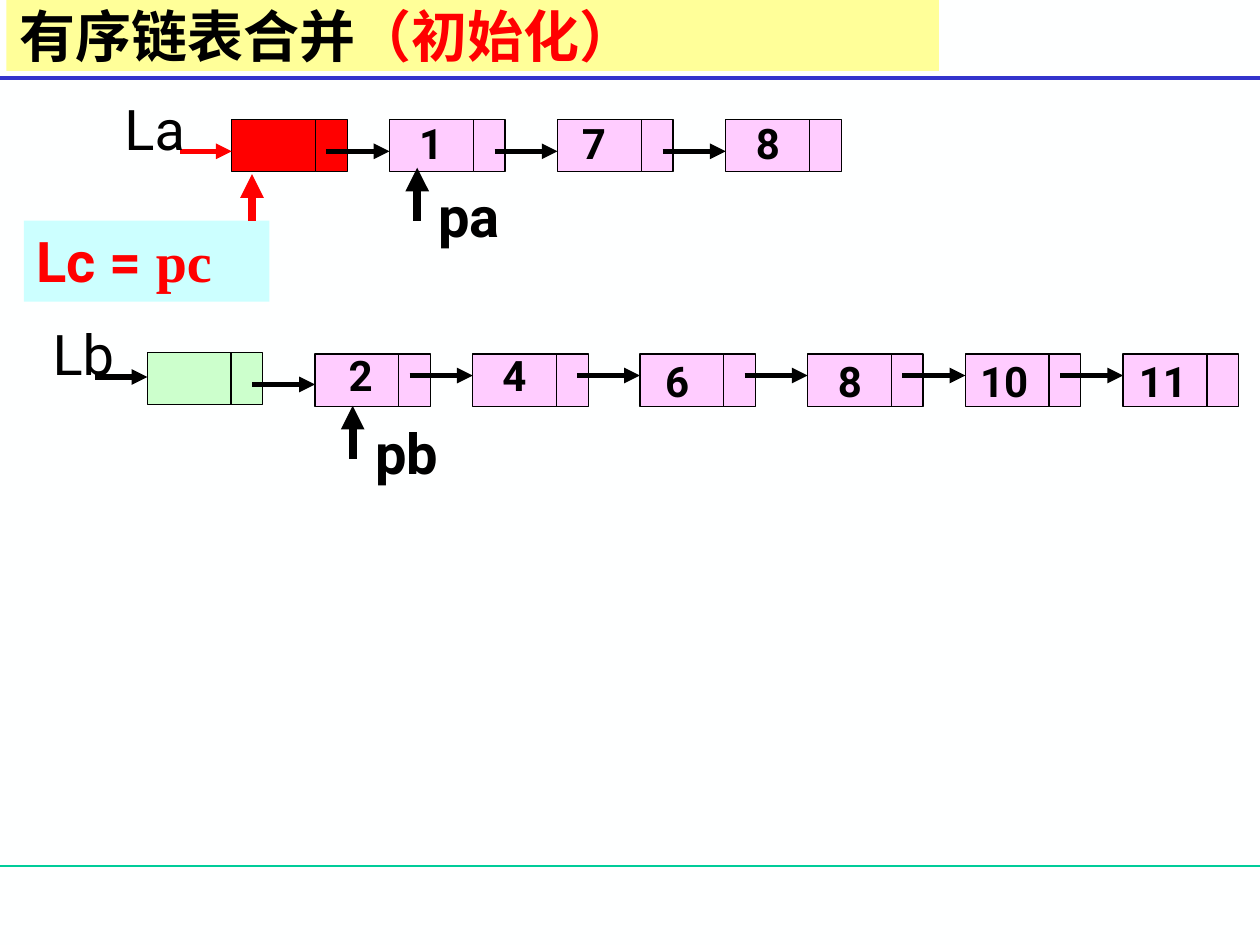
import dataclasses
import typing

import lxml.etree
import pptx
import pptx.dml.color
import pptx.enum.shapes
import pptx.enum.text
import pptx.oxml.ns
import pptx.util

Cm = pptx.util.Cm
Pt = pptx.util.Pt
qn = pptx.oxml.ns.qn

COLORS = {
    "background": "FEFFFF",
    "title": "FFFF99",
    "rule": "3333CC",
    "footer": "00CC99",
    "black": "000000",
    "red": "FF0000",
    "pink": "FFCCFF",
    "green": "CCFFCC",
    "cyan": "CCFFFF",
}
LATIN = "Roboto"
SERIF = "Times New Roman"
CHINESE = "Noto Sans CJK SC"
DATA_WIDTH, NEXT_WIDTH, NODE_HEIGHT = 1.69, 0.64, 1.05


@dataclasses.dataclass
class Label:
    text: str
    left: float
    top: float
    width: float
    height: float = 1.63
    size: int = 32
    bold: bool = True


@dataclasses.dataclass
class Node:
    """A list node with the arrow that enters it and its value, in cm."""
    left: float
    top: float
    link_top: float
    value: typing.Optional[Label] = None
    fill: str = "pink"
    link_length: float = 1.27
    link_color: str = "black"


@dataclasses.dataclass
class Line:
    start: tuple[float, float]
    end: tuple[float, float]
    color: str
    width: float
    arrow: bool = True


def digit(text: str, left: float, top: float) -> Label:
    return Label(text, left, top, 1 if len(text) == 1 else 1.6, 1.27, 24)


LIST_A = [
    Node(4.67, 2.41, 3.05, None, "red", 1.04, "red"),
    Node(7.85, 2.41, 3.05, digit("1", 8.2, 2.24)),
    Node(11.24, 2.41, 3.05, digit("7", 11.48, 2.24)),
    Node(14.63, 2.41, 3.05, digit("8", 14.99, 2.24)),
]
LIST_B = [
    Node(2.97, 7.11, 7.6, None, "green", 1.06),
    Node(6.35, 7.14, 7.75, digit("2", 6.78, 6.93)),
    Node(9.53, 7.14, 7.57, digit("4", 9.88, 6.93)),
    Node(12.9, 7.14, 7.57, digit("6", 13.16, 7.04)),
    Node(16.28, 7.14, 7.57, digit("8", 16.64, 7.04)),
    Node(19.46, 7.14, 7.57, digit("10", 19.51, 7.04)),
    Node(22.64, 7.14, 7.57, digit("11", 22.71, 7.04)),
]
LABELS = [
    Label("La", 2.26, 1.78, 1.73, bold=False),
    Label("pa", 8.59, 3.53, 1.91),
    Label("Lb", 0.81, 6.32, 1.78, bold=False),
    Label("pb", 7.32, 8.31, 1.93),
]
RULES = [
    Line((0, 17.46), (25.4, 17.46), "footer", 0.75, False),
    Line((0, 1.57), (25.4, 1.57), "rule", 2.25, False),
]
POINTERS = [
    Line((8.41, 4.45), (8.41, 3.38), "black", 4.5),
    Line((7.11, 9.25), (7.11, 8.18), "black", 4.5),
    Line((5.08, 4.45), (5.08, 3.51), "red", 4.5),
]


def rgb(name: str) -> pptx.dml.color.RGBColor:
    return pptx.dml.color.RGBColor.from_string(COLORS[name])


def paint(shape, name: str) -> None:
    shape.fill.solid()
    shape.fill.fore_color.rgb = rgb(name)


def draw_line(page, line: Line) -> None:
    points = [Cm(value) for value in (*line.start, *line.end)]
    connector = page.shapes.add_connector(
        pptx.enum.shapes.MSO_CONNECTOR.STRAIGHT, *points)
    connector.line.color.rgb = rgb(line.color)
    connector.line.width = Pt(line.width)
    properties = connector._element.spPr
    if line.arrow:
        lxml.etree.SubElement(
            properties.find(qn("a:ln")), qn("a:tailEnd"), type="triangle")
    lxml.etree.SubElement(properties, qn("a:effectLst"))


def add_rectangle(shapes, left: float, top: float, width: float,
                  height: float, fill: str):
    box = shapes.add_shape(
        pptx.enum.shapes.MSO_SHAPE.RECTANGLE,
        Cm(left), Cm(top), Cm(width), Cm(height))
    box.shadow.inherit = False
    paint(box, fill)
    return box


def draw_node(page, node: Node) -> None:
    group = page.shapes.add_group_shape()
    for left, width in ((node.left, DATA_WIDTH),
                        (node.left + DATA_WIDTH, NEXT_WIDTH)):
        cell = add_rectangle(
            group.shapes, left, node.top, width, NODE_HEIGHT, node.fill)
        cell.line.color.rgb = rgb("black")
        cell.line.width = Pt(0.75)


def draw_label(page, label: Label) -> None:
    box = page.shapes.add_textbox(
        Cm(label.left), Cm(label.top), Cm(label.width), Cm(label.height))
    frame = box.text_frame
    frame.word_wrap = False
    frame.auto_size = pptx.enum.text.MSO_AUTO_SIZE.SHAPE_TO_FIT_TEXT
    para = frame.paragraphs[0]
    para.text = label.text
    para.font.size = Pt(label.size)
    para.font.bold = label.bold
    para.font.name = LATIN
    para.font.color.rgb = rgb("black")


def draw_list(page, nodes: list[Node]) -> None:
    for node in nodes:
        draw_node(page, node)
    for node in nodes:
        draw_line(page, Line((node.left - node.link_length, node.link_top),
                             (node.left, node.link_top), node.link_color, 3))
        if node.value:
            draw_label(page, node.value)


def add_span(para, text: str, font: str, color: str):
    span = para.add_run()
    span.text = text
    span.font.color.rgb = rgb(color)
    span.font.name = font
    return span


def set_heading(para) -> None:
    para.alignment = pptx.enum.text.PP_ALIGN.LEFT
    para.font.size = Pt(32)
    para.font.bold = True


def draw_title(page) -> None:
    title = page.shapes.title
    title.left, title.top = Cm(0.13), Cm(0)
    title.width, title.height = Cm(18.8), Cm(1.43)
    paint(title, "title")
    frame = title.text_frame
    frame.auto_size = pptx.enum.text.MSO_AUTO_SIZE.NONE
    frame.vertical_anchor = pptx.enum.text.MSO_ANCHOR.MIDDLE
    para = frame.paragraphs[0]
    set_heading(para)
    for text, font, color in (("有序链表合并", CHINESE, "black"),
                              ("（初始化）", SERIF, "red")):
        span = add_span(para, text, font, color)
        lxml.etree.SubElement(
            span.font._element, qn("a:ea"), typeface=CHINESE)


def draw_result(page) -> None:
    box = add_rectangle(page.shapes, 0.48, 4.45, 4.95, 1.63, "cyan")
    box.line.fill.background()
    frame = box.text_frame
    frame.word_wrap = True
    frame.vertical_anchor = pptx.enum.text.MSO_ANCHOR.TOP
    para = frame.paragraphs[0]
    set_heading(para)
    add_span(para, "Lc = ", LATIN, "red")
    add_span(para, "pc", SERIF, "red")


def main() -> None:
    deck = pptx.Presentation()
    deck.slide_width, deck.slide_height = Cm(25.4), Cm(19.05)
    page = deck.slides.add_slide(deck.slide_layouts.get_by_name("Title Only"))
    paint(page.background, "background")
    draw_title(page)
    for rule in RULES:
        draw_line(page, rule)
    for nodes in (LIST_A, LIST_B):
        draw_list(page, nodes)
    for label in LABELS:
        draw_label(page, label)
    draw_result(page)
    for pointer in POINTERS:
        draw_line(page, pointer)
    deck.save("out.pptx")


if __name__ == "__main__":
    main()
